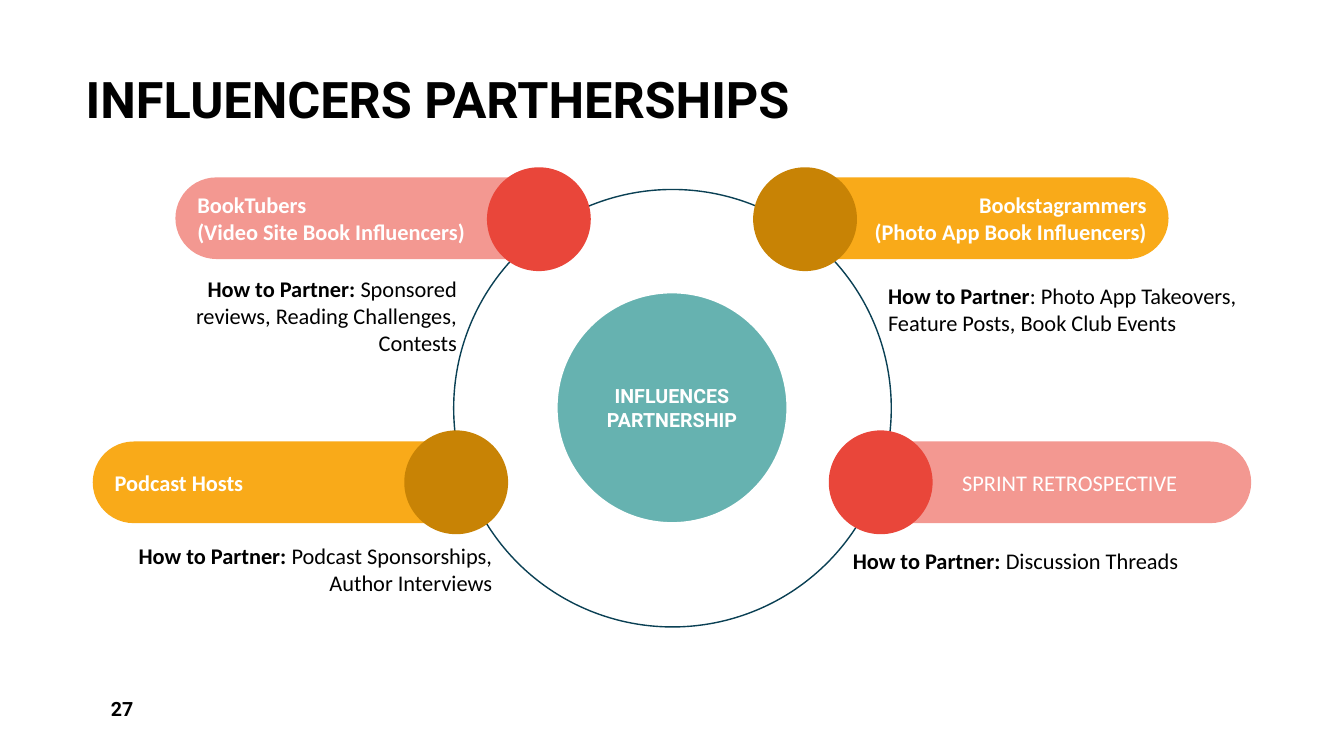
from pptx import Presentation
from pptx.dml.color import RGBColor
from pptx.enum import shapes, text
from pptx.util import Inches, Pt

BLACK, WHITE = "000000", "FFFFFF"
AMBER, OCHRE = "F9AA19", "C88305"
PINK, RED = "F39891", "E9463A"
TEAL, NAVY = "66B2B0", "0A4054"
LEFT, CENTER, RIGHT = text.PP_ALIGN.LEFT, text.PP_ALIGN.CENTER, text.PP_ALIGN.RIGHT
MIDDLE, TOP = text.MSO_ANCHOR.MIDDLE, text.MSO_ANCHOR.TOP
HOW = "How to Partner"

# pill left, pill top, dot left, dot top, pill colour, dot colour, alignment, left inset, label
PARTNERS = [
    (7.59, 1.76, 7.47, 1.66, AMBER, OCHRE, RIGHT, 0.1,
     [[("Bookstagrammers\n(Photo App Book Influencers)", True)]]),
    (8.41, 4.38, 8.22, 4.27, PINK, RED, CENTER, 0.5,
     [[("SPRINT RETROSPECTIVE", False)]]),
    (1.74, 1.76, 4.83, 1.66, PINK, RED, LEFT, 0.1,
     [[("BookTubers", True)], [("(Video Site Book Influencers)", True)]]),
    (0.92, 4.38, 4.01, 4.27, AMBER, OCHRE, LEFT, 0.1,
     [[("Podcast Hosts", True)]]),
]

# box, alignment, paragraphs
METHODS = [
    ((1.11, 2.68, 3.52, 0.91), RIGHT,
     [[(HOW + ": ", True), ("Sponsored\nreviews, Reading Challenges,", False)],
      [("Contests", False)]]),
    ((8.71, 2.75, 4.26, 0.64), LEFT,
     [[(HOW, True), (": Photo App Takeovers,\nFeature Posts, Book Club Events", False)]]),
    ((0.29, 5.33, 4.69, 0.64), RIGHT,
     [[(HOW + ": ", True), ("Podcast Sponsorships,\nAuthor Interviews", False)]]),
    ((8.36, 5.38, 4.46, 0.37), LEFT,
     [[(HOW + ": ", True), ("Discussion Threads", False)]]),
]


def rgb(value):
    return RGBColor.from_string(value)


def write(frame, paragraphs, color=BLACK, size=16, font="Calibri", align=LEFT, anchor=MIDDLE):
    """Fill a frame with paragraphs, each a list of (words, bold) pairs."""
    frame.word_wrap = True
    frame.vertical_anchor = anchor
    for index, pieces in enumerate(paragraphs):
        paragraph = frame.add_paragraph() if index else frame.paragraphs[0]
        paragraph.alignment = align
        for words, bold in pieces:
            for row, line in enumerate(words.split("\n")):
                if row:
                    paragraph.add_line_break()
                run = paragraph.add_run()
                run.text = line
                run.font.name, run.font.size, run.font.bold = font, Pt(size), bold
                run.font.color.rgb = rgb(color)


def add_form(slide, kind, box, fill=None, line=None, width=1):
    form = slide.shapes.add_shape(kind, *map(Inches, box))
    form.shadow.inherit = False
    if fill:
        form.fill.solid()
        form.fill.fore_color.rgb = rgb(fill)
    else:
        form.fill.background()
    if line:
        form.line.color.rgb = rgb(line)
        form.line.width = Pt(width)
    else:
        form.line.fill.background()
    return form


def add_circle(slide, left, top, diameter, **style):
    return add_form(slide, shapes.MSO_SHAPE.OVAL, (left, top, diameter, diameter), **style)


def add_partner(slide, left, top, dot_left, dot_top, color, dot_color, align, inset, label):
    pill = add_form(slide, shapes.MSO_SHAPE.ROUNDED_RECTANGLE, (left, top, 4, 0.81), fill=color)
    pill.adjustments[0] = 0.5
    pill.text_frame.margin_left = Inches(inset)
    write(pill.text_frame, label, WHITE, align=align)
    add_circle(slide, dot_left, dot_top, 1.03, fill=dot_color)


def add_words(slide, box, paragraphs, **style):
    words = slide.shapes.add_textbox(*map(Inches, box))
    write(words.text_frame, paragraphs, **style)


def set_title(slide, words):
    title = slide.shapes.title
    title.left, title.top, title.width, title.height = map(Inches, (0.75, -0.12, 11.38, 1.45))
    write(title.text_frame, [[(words, True)]], size=36, font="Roboto",
          anchor=text.MSO_ANCHOR.BOTTOM)
    title.text_frame.paragraphs[0].line_spacing = 0.9


def main():
    deck = Presentation()
    deck.slide_width, deck.slide_height = Inches(13.33), Inches(7.5)
    slide = deck.slides.add_slide(deck.slide_layouts[5])
    set_title(slide, "INFLUENCERS PARTHERSHIPS")
    add_words(slide, (1, 6.83, 2.92, 0.4), [[("27", True)]], size=14, font="Roboto")

    add_circle(slide, 4.5, 1.88, 4.34, line=NAVY)
    hub = add_circle(slide, 5.52, 2.9, 2.29, fill=TEAL, line=WHITE, width=1.5)
    write(hub.text_frame, [[("INFLUENCES PARTNERSHIP", True)]], WHITE, 14, "Roboto", CENTER)

    for partner in PARTNERS:
        add_partner(slide, *partner)
    for box, align, paragraphs in METHODS:
        add_words(slide, box, paragraphs, align=align, anchor=TOP)
    deck.save("out.pptx")


if __name__ == "__main__":
    main()
